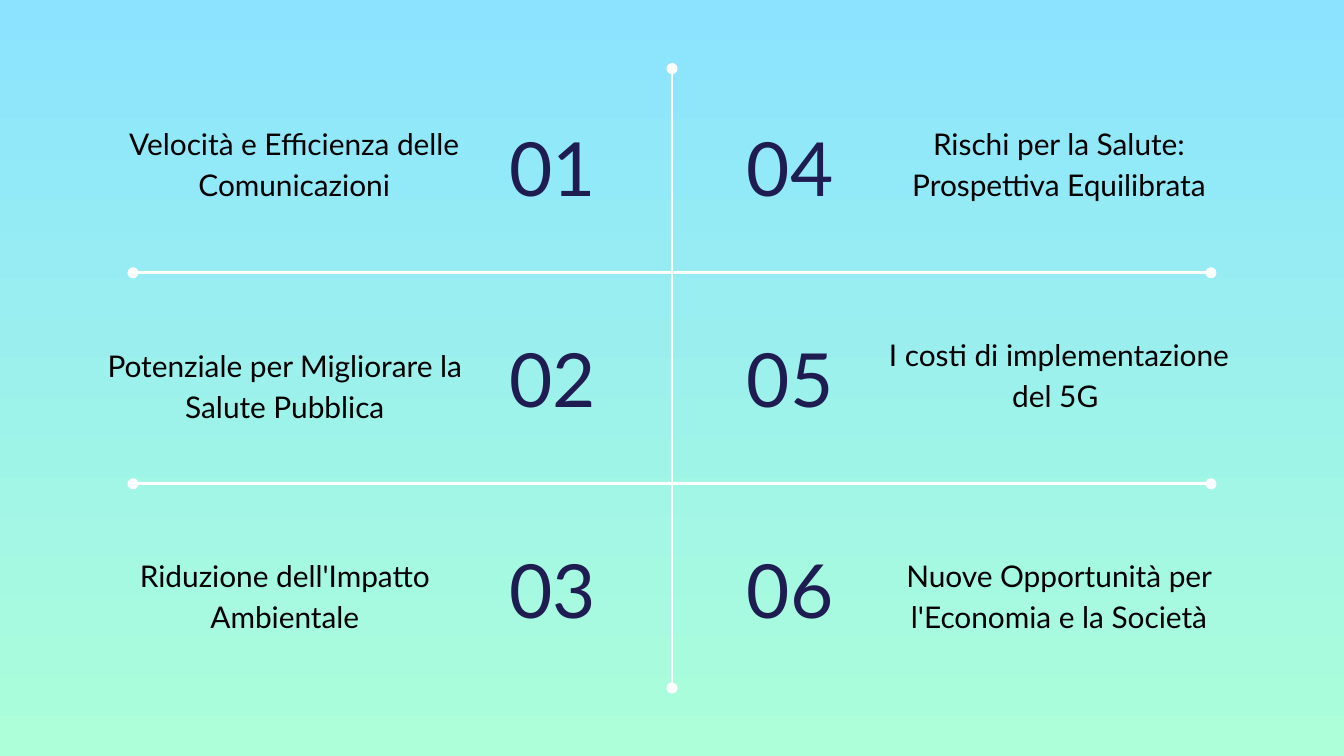
from dataclasses import dataclass

from lxml import etree
from pptx import Presentation
from pptx.dml.color import RGBColor
from pptx.enum.shapes import MSO_CONNECTOR
from pptx.enum.text import MSO_ANCHOR, MSO_AUTO_SIZE, PP_ALIGN
from pptx.oxml.ns import qn
from pptx.util import Inches, Pt


@dataclass(frozen=True)
class Theme:
    font: str = "Lato"
    sky: RGBColor = RGBColor(0x8B, 0xE3, 0xFF)
    mint: RGBColor = RGBColor(0xAC, 0xFF, 0xD9)
    navy: RGBColor = RGBColor(0x1F, 0x1C, 0x51)
    black: RGBColor = RGBColor(0, 0, 0)
    white: RGBColor = RGBColor(255, 255, 255)
    number_size: Pt = Pt(40)
    caption_size: Pt = Pt(16)
    rule_width: Pt = Pt(1.5)


THEME = Theme()

# A 16:9 slide
SLIDE_WIDTH = 10
SLIDE_HEIGHT = SLIDE_WIDTH * 9 / 16

# Grid: three rows, with the numbers on both sides of the centre line
CENTRE = SLIDE_WIDTH / 2
FIRST_ROW_TOP = 0.81
ROW_STEP = 1.57
NUMBER_WIDTH, NUMBER_HEIGHT = 1.3, 0.86
CAPTION_WIDTH = 2.98

# Each column: number left, number alignment, captions (text, left, top, height)
COLUMNS = [
    (3.69, PP_ALIGN.LEFT, [
        ("Velocità e Efficienza delle Comunicazioni", 0.7, 0.87, 0.74),
        ("Potenziale per Migliorare la Salute Pubblica", 0.63, 2.76, 0.5),
        ("Riduzione dell'Impatto Ambientale", 0.63, 4.32, 0.5),
    ]),
    (CENTRE, PP_ALIGN.RIGHT, [
        ("Rischi per la Salute: Prospettiva Equilibrata", 6.39, 1.11, 0.5),
        ("I costi di implementazione del 5G ", 6.39, 2.68, 0.5),
        ("Nuove Opportunità per l'Economia e la Società", 6.39, 4.32, 0.5),
    ]),
]

RULES = [
    (CENTRE, 0.51, CENTRE, 5.12),
    (0.99, 2.03, 9.01, 2.03),
    (0.99, 3.6, 9.01, 3.6),
]


def set_attributes(target, values):
    for name, value in values.items():
        setattr(target, name, value)


def paint_background(slide):
    fill = slide.background.fill
    fill.gradient()
    fill.gradient_angle = 270
    for stop, color in zip(fill.gradient_stops, (THEME.sky, THEME.mint)):
        stop.color.rgb = color


def write_text(shape, text, anchor, paragraph_format, size, color):
    frame = shape.text_frame
    margins = dict.fromkeys(
        ("margin_left", "margin_top", "margin_right", "margin_bottom"), Inches(0.1))
    set_attributes(frame, {"word_wrap": True, "auto_size": MSO_AUTO_SIZE.NONE,
                           "vertical_anchor": anchor, **margins})
    paragraph = frame.paragraphs[0]
    set_attributes(paragraph, paragraph_format)
    run = paragraph.add_run()
    run.text = text
    set_attributes(run.font, {"name": THEME.font, "size": size, "bold": False})
    run.font.color.rgb = color


def add_number(slide, number, left, top, alignment):
    box = [Inches(value) for value in (left, top, NUMBER_WIDTH, NUMBER_HEIGHT)]
    if number == 1:
        # The first number takes the title placeholder
        shape = slide.shapes.title
        set_attributes(shape, dict(zip(("left", "top", "width", "height"), box)))
    else:
        shape = slide.shapes.add_textbox(*box)
    write_text(shape, f"{number:02}", MSO_ANCHOR.MIDDLE,
               {"alignment": alignment, "line_spacing": 1.0},
               THEME.number_size, THEME.navy)


def add_caption(slide, text, left, top, height):
    shape = slide.shapes.add_textbox(
        Inches(left), Inches(top), Inches(CAPTION_WIDTH), Inches(height))
    write_text(shape, text, MSO_ANCHOR.BOTTOM,
               {"alignment": PP_ALIGN.CENTER, "line_spacing": 1.15},
               THEME.caption_size, THEME.black)


def add_rule(slide, ends):
    rule = slide.shapes.add_connector(
        MSO_CONNECTOR.STRAIGHT, *[Inches(value) for value in ends])
    rule.line.color.rgb = THEME.white
    rule.line.width = THEME.rule_width
    # Round ends, no shadow
    line = rule.line._get_or_add_ln()
    for end in ("a:headEnd", "a:tailEnd"):
        etree.SubElement(line, qn(end), type="oval")
    etree.SubElement(rule._element.spPr, qn("a:effectLst"))


def main():
    presentation = Presentation()
    set_attributes(presentation, {"slide_width": Inches(SLIDE_WIDTH),
                                  "slide_height": Inches(SLIDE_HEIGHT)})
    slide = presentation.slides.add_slide(presentation.slide_layouts[5])
    paint_background(slide)

    # Dividing lines
    for ends in RULES:
        add_rule(slide, ends)

    # Numbered topics, down each column
    number = 0
    for number_left, alignment, captions in COLUMNS:
        for row, caption in enumerate(captions):
            number += 1
            add_number(slide, number, number_left,
                       FIRST_ROW_TOP + row * ROW_STEP, alignment)
            add_caption(slide, *caption)

    presentation.save("out.pptx")


if __name__ == "__main__":
    main()
